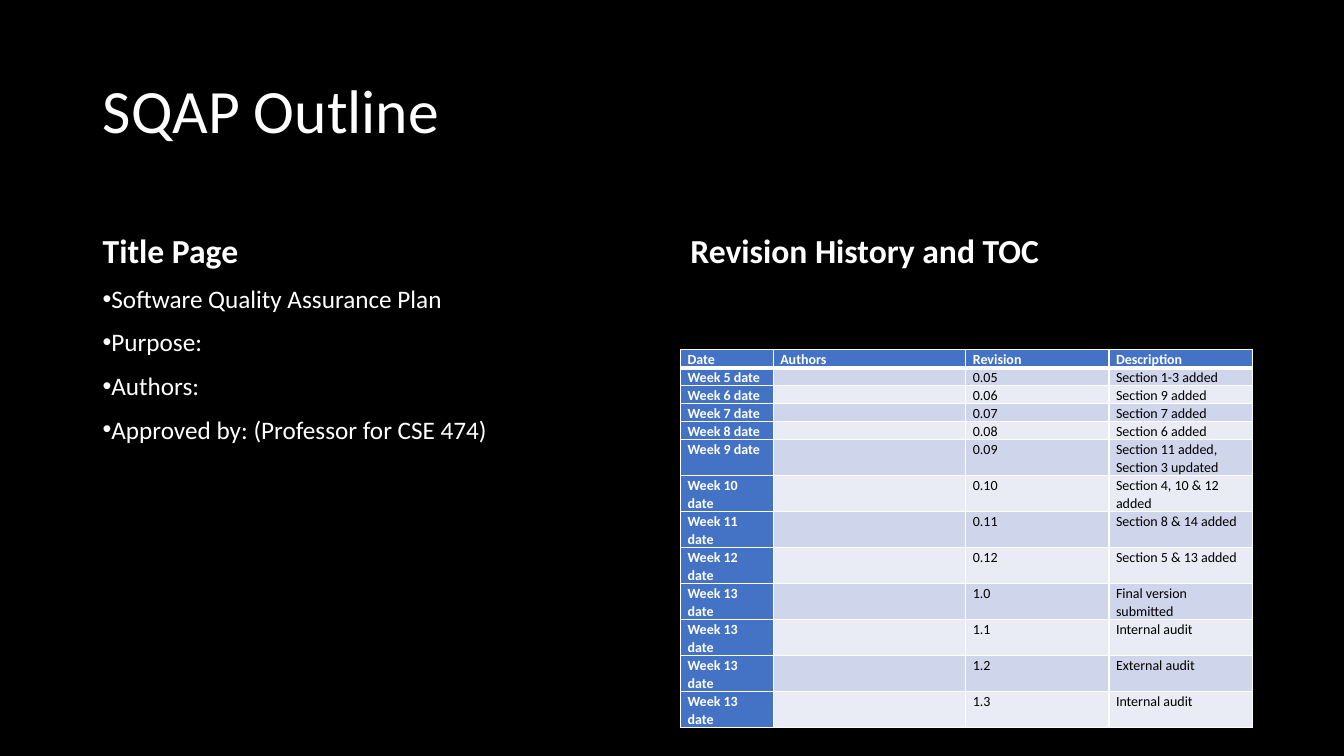
from dataclasses import dataclass

from lxml.etree import SubElement
from pptx import Presentation
from pptx.dml.color import RGBColor
from pptx.enum.text import MSO_ANCHOR as Anchor, MSO_AUTO_SIZE as AutoSize, PP_ALIGN as Align
from pptx.oxml.ns import qn
from pptx.util import Inches, Pt

TITLE = "SQAP Outline"
LEFT_HEADING = "Title Page"
RIGHT_HEADING = "Revision History and TOC"
TITLE_PAGE_ITEMS = [
    "Software Quality Assurance Plan",
    "Purpose:",
    "Authors:",
    "Approved by: (Professor for CSE 474)",
]
REVISION_HEADER = ("Date", "Authors", "Revision", "Description")
REVISIONS = [
    ("Week 5 date", "", "0.05", "Section 1-3 added"),
    ("Week 6 date", "", "0.06", "Section 9 added"),
    ("Week 7 date", "", "0.07", "Section 7 added"),
    ("Week 8 date", "", "0.08", "Section 6 added"),
    ("Week 9 date", "", "0.09", "Section 11 added, Section 3 updated"),
    ("Week 10 date", "", "0.10", "Section 4, 10 & 12 added"),
    ("Week 11 date", "", "0.11", "Section 8 & 14 added"),
    ("Week 12 date", "", "0.12", "Section 5 & 13 added"),
    ("Week 13 date", "", "1.0", "Final version submitted"),
    ("Week 13 date", "", "1.1", "Internal audit"),
    ("Week 13 date", "", "1.2", "External audit"),
    ("Week 13 date", "", "1.3", "Internal audit"),
]
COLUMN_WIDTHS = (0.92, 1.91, 1.42, 1.42)
ROW_HEIGHT = 0.16
LEFT, RIGHT = 0.92, 6.75
HEADING_TOP, HEADING_HEIGHT = 1.84, 0.9


@dataclass(frozen=True)
class Theme:
    font: str = "Calibri"
    background: str = "000000"
    light: str = "FFFFFF"
    dark: str = "000000"
    accent: str = "4472C4"
    bands: tuple = ("CFD5EA", "E9EBF5")
    title_size: int = 44
    heading_size: int = 24
    body_size: int = 18
    table_size: int = 10


THEME = Theme()


def add_text(paragraph, text, size, color=THEME.light, bold=False):
    run = paragraph.add_run()
    run.text = text
    run.font.name = THEME.font
    run.font.size = Pt(size)
    run.font.bold = bold
    run.font.color.rgb = RGBColor.from_string(color)


def add_text_frame(slide, left, top, width, height, anchor):
    box = slide.shapes.add_textbox(Inches(left), Inches(top), Inches(width), Inches(height))
    frame = box.text_frame
    frame.word_wrap = True
    frame.vertical_anchor = anchor
    return frame


def add_title(slide):
    title = slide.shapes.title
    title.left, title.top = Inches(LEFT), Inches(0.4)
    title.width, title.height = Inches(11.5), Inches(1.45)
    frame = title.text_frame
    frame.auto_size = AutoSize.NONE
    frame.vertical_anchor = Anchor.MIDDLE
    paragraph = frame.paragraphs[0]
    paragraph.alignment = Align.LEFT
    paragraph.line_spacing = 0.9
    add_text(paragraph, TITLE, THEME.title_size)


def add_heading(slide, text, left, width):
    frame = add_text_frame(slide, left, HEADING_TOP, width, HEADING_HEIGHT, Anchor.BOTTOM)
    paragraph = frame.paragraphs[0]
    paragraph.line_spacing = 0.9
    paragraph.space_before = Pt(10)
    add_text(paragraph, text, THEME.heading_size, bold=True)


def add_bullets(slide, items):
    frame = add_text_frame(slide, LEFT, HEADING_TOP + HEADING_HEIGHT, 5.64, 4.03, Anchor.TOP)
    for index, item in enumerate(items):
        paragraph = frame.add_paragraph() if index else frame.paragraphs[0]
        paragraph.line_spacing = 1.07
        paragraph.space_after = Pt(8)
        properties = paragraph._p.get_or_add_pPr()
        properties.set("marL", "0")
        properties.set("indent", str(-Inches(0.25)))
        SubElement(properties, qn("a:buFont"), typeface="Arial")
        SubElement(properties, qn("a:buChar"), char="•")
        add_text(paragraph, item, THEME.body_size)


def set_borders(cell, top, bottom):
    """Draw light borders; top and bottom are widths in points."""
    properties = cell._tc.get_or_add_tcPr()
    widths = {"lnL": 1, "lnR": 1, "lnT": top, "lnB": bottom}
    for position, (side, width) in enumerate(widths.items()):
        line = SubElement(properties, qn(f"a:{side}"), w=str(Pt(width)))
        fill = SubElement(line, qn("a:solidFill"))
        SubElement(fill, qn("a:srgbClr"), val=THEME.light)
        properties.insert(position, line)


def fill_cell(cell, text, row, column):
    heading = row == 0 or column == 0
    cell.fill.solid()
    color = THEME.accent if heading else THEME.bands[(row - 1) % 2]
    cell.fill.fore_color.rgb = RGBColor.from_string(color)
    cell.margin_left = cell.margin_right = Inches(0.07)
    cell.margin_top = cell.margin_bottom = 0
    set_borders(cell, top=3 if row == 1 else 1, bottom=3 if row == 0 else 1)
    paragraph = cell.text_frame.paragraphs[0]
    paragraph.line_spacing = 1.07
    paragraph.space_after = Pt(8)
    if text:
        add_text(paragraph, text, THEME.table_size,
                 THEME.light if heading else THEME.dark, heading)
    else:
        SubElement(paragraph._p, qn("a:endParaRPr"), sz=str(THEME.table_size * 100))


def add_revision_table(slide):
    rows = [REVISION_HEADER, *REVISIONS]
    table = slide.shapes.add_table(
        len(rows), len(COLUMN_WIDTHS), Inches(RIGHT), Inches(3.47),
        Inches(sum(COLUMN_WIDTHS)), Inches(ROW_HEIGHT * len(rows))).table
    for column, width in zip(table.columns, COLUMN_WIDTHS):
        column.width = Inches(width)
    for row_index, values in enumerate(rows):
        table.rows[row_index].height = Inches(ROW_HEIGHT)
        for column_index, text in enumerate(values):
            fill_cell(table.cell(row_index, column_index), text, row_index, column_index)


def main():
    presentation = Presentation()
    presentation.slide_width, presentation.slide_height = Inches(13.33), Inches(7.5)
    slide = presentation.slides.add_slide(presentation.slide_layouts[5])
    slide.background.fill.solid()
    slide.background.fill.fore_color.rgb = RGBColor.from_string(THEME.background)
    add_title(slide)
    add_heading(slide, LEFT_HEADING, LEFT, 5.64)
    add_bullets(slide, TITLE_PAGE_ITEMS)
    add_heading(slide, RIGHT_HEADING, RIGHT, 5.67)
    add_revision_table(slide)
    presentation.save("out.pptx")


if __name__ == "__main__":
    main()
